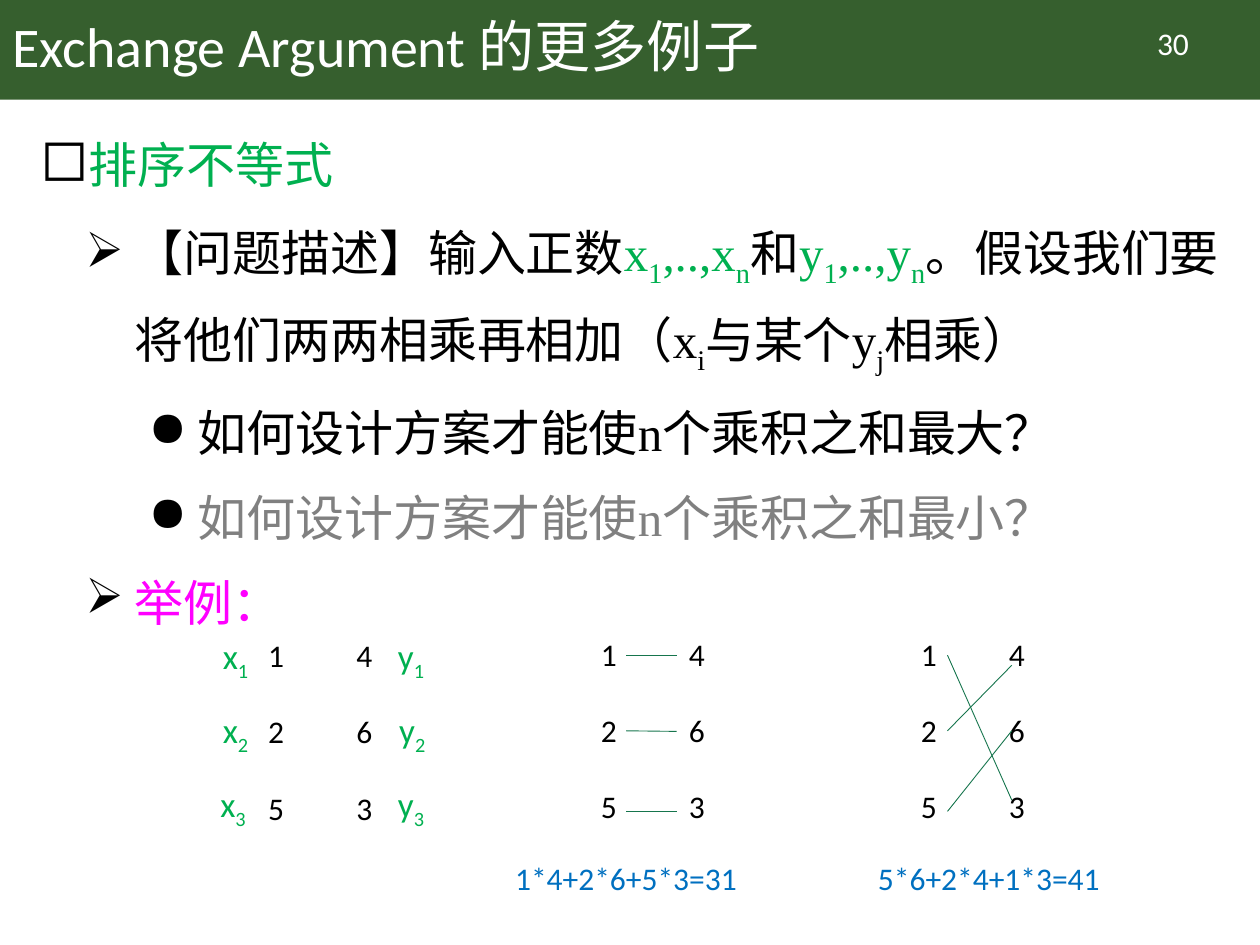
from typing import Any, NamedTuple, Optional

import pptx
import pptx.dml.color
import pptx.enum.shapes
import pptx.enum.text
import pptx.oxml
import pptx.oxml.ns
import pptx.util
from lxml import etree

WIDE, HIGH = 10, 7.5
COLS, ROWS = 100, 75
SANS, SERIF = "Calibri", "Times New Roman"
BLACK, WHITE, GRAY = "000000", "FFFFFF", "808080"
GREEN, PINK, BLUE = "00B050", "FF00FF", "0070C0"
BAND, LINE = "365F2E", "16754D"
MIDDLE = pptx.enum.text.MSO_ANCHOR.MIDDLE
CENTER = pptx.enum.text.PP_ALIGN.CENTER
PAIRS = (("1", "2", "5"), ("4", "6", "3"))


class Run(NamedTuple):
    text: str
    tint: Optional[str] = None
    sub: bool = False


class Para(NamedTuple):
    runs: tuple[Run, ...]
    size: float = 18
    tint: str = BLACK
    face: str = SANS
    level: int = 0
    mark: str = ""
    scale: int = 100
    before: float = 0
    lead: Optional[float] = None
    align: Any = None


class Box(NamedTuple):
    col: float
    row: float
    wide: float
    high: float


class Link(NamedTuple):
    start: tuple[float, float]
    stop: tuple[float, float]
    joint: Optional[int] = None


class Match(NamedTuple):
    col: float
    row: float
    links: tuple[Link, ...] = ()


def across(col: float) -> int:
    return pptx.util.Inches(col * WIDE / COLS)


def down(row: float) -> int:
    return pptx.util.Inches(row * HIGH / ROWS)


def place(box: Box) -> tuple[int, int, int, int]:
    return across(box.col), down(box.row), across(box.wide), down(box.high)


def color(tint: str) -> pptx.dml.color.RGBColor:
    return pptx.dml.color.RGBColor.from_string(tint)


def bullet(para: Any, spec: Para) -> None:
    props = para._p.get_or_add_pPr()
    props.set("marL", str(pptx.util.Inches(0.25 + 0.5 * spec.level)))
    props.set("indent", str(pptx.util.Inches(-0.39)))
    tone = etree.SubElement(props, pptx.oxml.ns.qn("a:buClr"))
    etree.SubElement(tone, pptx.oxml.ns.qn("a:srgbClr"), val=BLACK)
    etree.SubElement(props, pptx.oxml.ns.qn("a:buSzPct"), val=str(spec.scale * 1000))
    etree.SubElement(props, pptx.oxml.ns.qn("a:buChar"), char=spec.mark)


def fill(para: Any, spec: Para) -> None:
    para.level = spec.level
    if spec.mark:
        bullet(para, spec)
    if spec.before:
        para.space_before = pptx.util.Pt(spec.before)
    if spec.lead:
        para.line_spacing = spec.lead
    if spec.align is not None:
        para.alignment = spec.align
    para.font.name = spec.face
    para.font.size = pptx.util.Pt(spec.size)
    mixed = any(part.tint for part in spec.runs)
    if not mixed:
        para.font.color.rgb = color(spec.tint)
    for part in spec.runs:
        run = para.add_run()
        run.text = part.text
        if mixed:
            run.font.color.rgb = color(part.tint or spec.tint)
        if part.sub:
            run._r.get_or_add_rPr().set("baseline", "-25000")


def write(shapes: Any, box: Box, *specs: Para, grow: bool = False, anchor: Any = None) -> Any:
    shape = shapes.add_textbox(*place(box))
    frame = shape.text_frame
    frame.word_wrap = True
    if grow:
        frame.auto_size = pptx.enum.text.MSO_AUTO_SIZE.SHAPE_TO_FIT_TEXT
    if anchor is not None:
        frame.vertical_anchor = anchor
    for spot, spec in enumerate(specs):
        fill(frame.add_paragraph() if spot else frame.paragraphs[0], spec)
    return shape


def plain(text: str, **kinds: Any) -> Para:
    return Para((Run(text),), **kinds)


def connect(shapes: Any, link: Link, col: float, row: float, ends: list[Any]) -> None:
    (left, top), (right, base) = link.start, link.stop
    line = shapes.add_connector(
        pptx.enum.shapes.MSO_CONNECTOR.STRAIGHT,
        across(col + left), down(row + top), across(col + right), down(row + base))
    line.line.color.rgb = color(LINE)
    line.line.width = pptx.util.Pt(0.5)
    etree.SubElement(line._element.spPr, pptx.oxml.ns.qn("a:effectLst"))
    if link.joint is not None:
        line.end_connect(ends[link.joint], 1)


def match(shapes: Any, spec: Match) -> Any:
    group = shapes.add_group_shape().shapes
    ends = [
        write(group, Box(spec.col + 7 * c, spec.row + 6.05 * r, 4.6, 4.2), plain(digit), grow=True)
        for c, side in enumerate(PAIRS) for r, digit in enumerate(side)]
    for link in spec.links:
        connect(group, link, spec.col, spec.row, ends[3:])
    return group


def label(shapes: Any, name: str, cols: tuple[float, ...]) -> None:
    for spot, col in enumerate(cols):
        text = Para((Run(name), Run(str(spot + 1), sub=True)), 20, GREEN)
        write(shapes, Box(col, 49.9 + 5.85 * spot, 4.6, 4.4), text, grow=True)


def topic(level: int, mark: str, *runs: Run, tint: str = BLACK, scale: int = 100) -> Para:
    return Para(runs, 28, tint, SERIF, level, mark, scale, 5 if level else 0, 1.3)


def series(name: str, tint: str) -> tuple[Run, ...]:
    return (Run(name, tint), Run("1", tint, True), Run(",..," + name, tint), Run("n", tint, True))


BODY = (
    topic(0, "◻", Run("排序不等式"), tint=GREEN, scale=120),
    topic(1, "➢", Run("【问题描述】输入正数"), *series("x", GREEN), Run("和"), *series("y", GREEN),
          Run("。假设我们要将他们两两相乘再相加（x"), Run("i", sub=True),
          Run("与某个y"), Run("j", sub=True), Run("相乘）")),
    topic(2, "●", Run("如何设计方案才能使n个乘积之和最大？")),
    topic(2, "●", Run("如何设计方案才能使n个乘积之和最小？"), tint=GRAY),
    topic(1, "➢", Run("举例："), tint=PINK),
)
LEVEL = (
    Link((3, 2.1), (7, 2.1), 0),
    Link((3, 8.1), (7, 8.1), 1),
    Link((3, 14.5), (7, 14.5)),
)
CROSS = (
    Link((3.1, 2.1), (8.2, 13.6)),
    Link((3.1, 8.1), (8.2, 2.9)),
    Link((3.1, 14.5), (8.2, 8.1)),
)


def main() -> None:
    deck = pptx.Presentation()
    deck.slide_width, deck.slide_height = across(COLS), down(ROWS)
    shapes = deck.slides.add_slide(deck.slide_layouts[6]).shapes
    band = shapes.add_shape(pptx.enum.shapes.MSO_SHAPE.RECTANGLE, *place(Box(0, 0, COLS, 7.9)))
    band.shadow.inherit = False
    band.fill.solid()
    band.fill.fore_color.rgb = color(BAND)
    band.line.fill.background()
    title = plain("Exchange Argument 的更多例子", size=32, tint=WHITE, lead=0.9)
    write(shapes, Box(0, 0, 86.2, 7.9), title, anchor=MIDDLE)
    write(shapes, Box(2.2, 8.8, 95.7, 64.7), *BODY)
    given = match(shapes, Match(20.3, 50))
    label(given, "x", (16.7, 16.7, 16.5))
    label(given, "y", (30.6, 30.7, 30.6))
    match(shapes, Match(46.7, 49.9, LEVEL))
    match(shapes, Match(72.1, 49.9, CROSS))
    for col, text in ((39.9, "1*4+2*6+5*3=31"), (68.7, "5*6+2*4+1*3=41")):
        write(shapes, Box(col, 67.7, 25.3, 4), plain(text, tint=BLUE), grow=True)
    write(shapes, Box(87.1, 1.4, 12, 4), plain("30", tint=WHITE, align=CENTER))
    deck.save("out.pptx")


if __name__ == "__main__":
    main()
